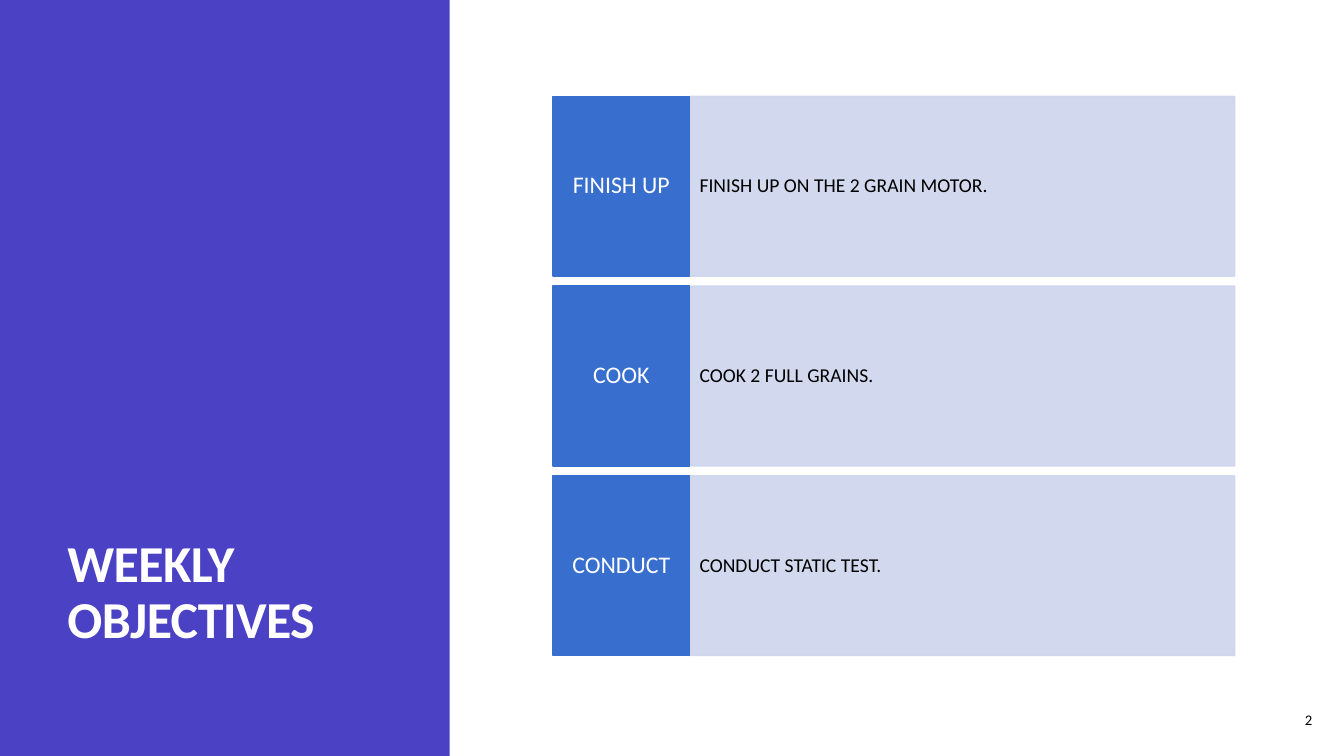
from dataclasses import dataclass

from lxml.etree import SubElement
from pptx import Presentation
from pptx.dml.color import RGBColor
from pptx.enum.shapes import MSO_SHAPE
from pptx.enum.text import MSO_ANCHOR, PP_ALIGN
from pptx.oxml.ns import qn
from pptx.util import Cm, Pt


@dataclass(frozen=True)
class Theme:
    font: str = "Calibri"
    panel: RGBColor = RGBColor(0x4A, 0x41, 0xC5)
    label: RGBColor = RGBColor(0x38, 0x6E, 0xCE)
    pale: RGBColor = RGBColor(0xCE, 0xD5, 0xED)
    white: RGBColor = RGBColor(0xFF, 0xFF, 0xFF)
    black: RGBColor = RGBColor(0, 0, 0)
    title: Pt = Pt(37)
    head: Pt = Pt(17)
    body: Pt = Pt(14)
    small: Pt = Pt(10.5)


theme = Theme()
deck = Presentation()
deck.slide_width, deck.slide_height = Cm(33.87), Cm(19.05)
slide = deck.slides.add_slide(deck.slide_layouts[6])


def add_box(left, top, width, height, color, alpha=None):
    box = slide.shapes.add_shape(
        MSO_SHAPE.RECTANGLE, Cm(left), Cm(top), Cm(width), Cm(height))
    box.shadow.inherit = False
    box.line.width = Pt(1)
    for fill in (box.fill, box.line.fill):
        fill.solid()
        fill.fore_color.rgb = color
    if alpha:
        for tint in box._element.spPr.iter(qn("a:srgbClr")):
            SubElement(tint, qn("a:alpha")).set("val", str(alpha * 1000))
    return box


def add_text(shape, text, size, color, align, anchor, side, edge):
    frame = shape.text_frame
    para = frame.paragraphs[0]
    run = para.add_run()
    run.text = text
    frame_set = {
        "word_wrap": True, "vertical_anchor": anchor,
        "margin_left": Cm(side), "margin_right": Cm(side),
        "margin_top": Cm(edge), "margin_bottom": Cm(edge),
    }
    para_set = {"alignment": align, "line_spacing": 0.9}
    font_set = {"name": theme.font, "size": size}
    for part, values in ((frame, frame_set), (para, para_set),
                         (run.font, font_set)):
        for name, value in values.items():
            setattr(part, name, value)
    run.font.color.rgb = color
    return run


# Side panel
panel = add_box(0, 0, 11.33, 19.05, theme.panel)
panel.line.fill.background()

# Title
title = slide.shapes.add_textbox(Cm(1.45), Cm(1.3), Cm(8.76), Cm(15.21))
run = add_text(title, "WEEKLY OBJECTIVES", theme.title, theme.white,
               PP_ALIGN.LEFT, MSO_ANCHOR.BOTTOM, 0.25, 0.13)
run.font.bold = True
run.font._element.set("spc", "-40")

# Page number
page = slide.shapes.add_textbox(Cm(31.57), Cm(17.65), Cm(1.75), Cm(1.02))
add_text(page, "2", theme.small, theme.black,
         PP_ALIGN.RIGHT, MSO_ANCHOR.MIDDLE, 0.25, 0.13)

# Objective rows
goals = [
    ("FINISH UP", "FINISH UP ON THE 2 GRAIN MOTOR."),
    ("COOK", "COOK 2 FULL GRAINS."),
    ("CONDUCT", "CONDUCT STATIC TEST."),
]
left, split, first = 13.94, 17.38, 2.43
wide, high, step = 13.74, 4.53, 4.78

for row, (head, body) in enumerate(goals):
    top = first + row * step
    detail = add_box(split, top, wide, high, theme.pale, 90)
    add_text(detail, body, theme.body, theme.black,
             PP_ALIGN.LEFT, MSO_ANCHOR.MIDDLE, 0.25, 1.14)
    label = add_box(left, top, split - left, high, theme.label)
    add_text(label, head, theme.head, theme.white,
             PP_ALIGN.CENTER, MSO_ANCHOR.MIDDLE, 0.17, 0.46)

deck.save("out.pptx")
